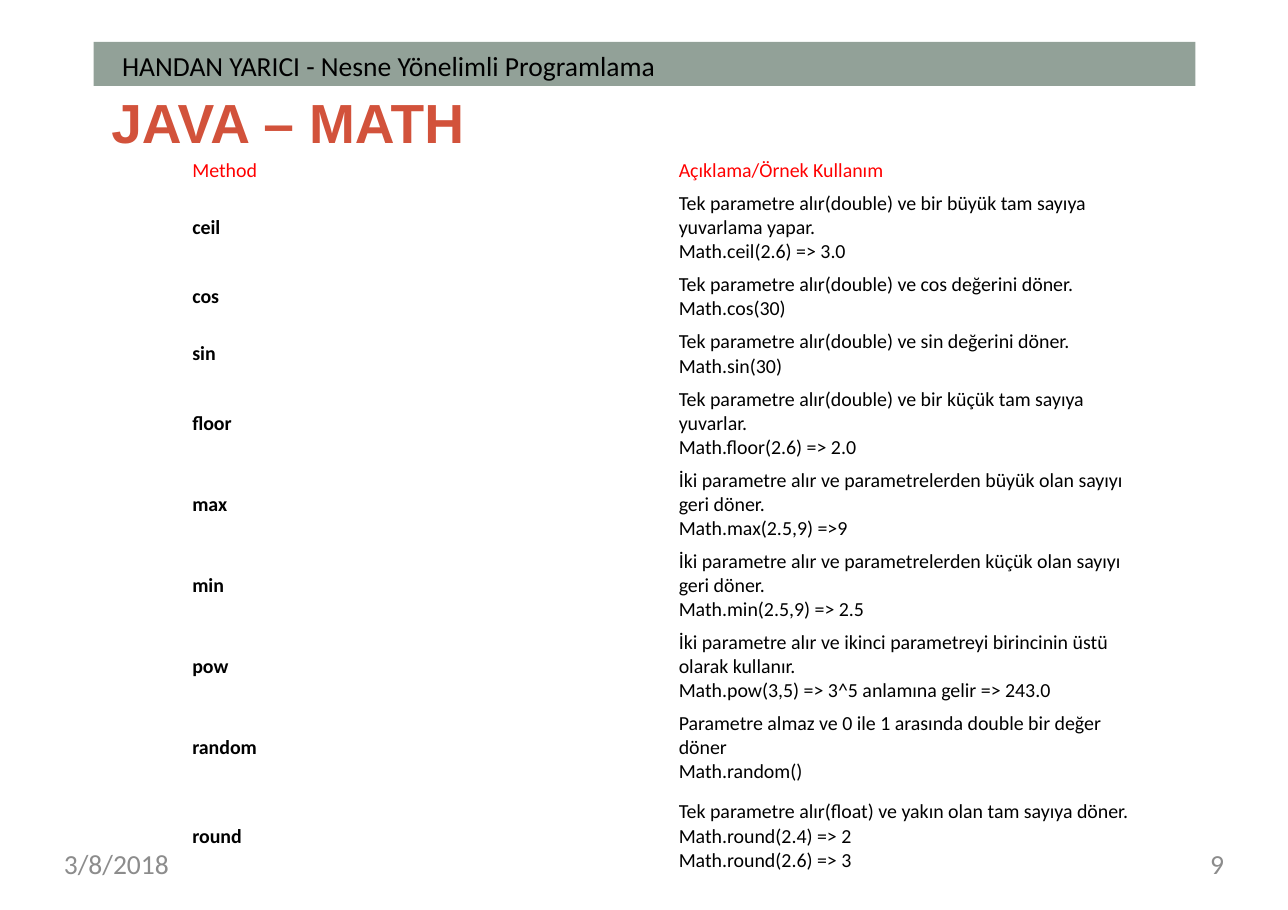
from pptx import Presentation
from pptx.dml.color import RGBColor
from pptx.enum.shapes import MSO_SHAPE
from pptx.enum.text import MSO_ANCHOR, PP_ALIGN
from pptx.util import Inches, Pt

RECT = MSO_SHAPE.RECTANGLE
MIDDLE = MSO_ANCHOR.MIDDLE
LEFT, RIGHT = PP_ALIGN.LEFT, PP_ALIGN.RIGHT

SAGE = RGBColor(0x92, 0xA1, 0x98)
BRICK = RGBColor(0xD2, 0x52, 0x3B)
GRAY = RGBColor(0x8C, 0x8C, 0x8C)
RED = RGBColor(0xFF, 0x00, 0x00)
BLACK = RGBColor(0x00, 0x00, 0x00)
WHITE = RGBColor(0xFF, 0xFF, 0xFF)

WIDTH, HEIGHT = Inches(11.69), Inches(8.26)
CELL_MARGINS = {"margin_left": Inches(0.06), "margin_right": Inches(0.06),
                "margin_top": Inches(0.04), "margin_bottom": Inches(0.04)}
NO_MARGINS = dict.fromkeys(CELL_MARGINS, 0)

HEADING_ROW, SHORT_ROW, TALL_ROW, LAST_ROW = 3.27, 6.3, 8.91, 10.6
HEADINGS = ("Method", "Açıklama/Örnek Kullanım", HEADING_ROW)
METHODS = [
    ("ceil", "Tek parametre alır(double) ve bir büyük tam sayıya yuvarlama yapar.\n"
             "Math.ceil(2.6) => 3.0", TALL_ROW),
    ("cos", "Tek parametre alır(double) ve cos değerini döner.\nMath.cos(30)", SHORT_ROW),
    ("sin", "Tek parametre alır(double) ve sin değerini döner.\nMath.sin(30)", SHORT_ROW),
    ("floor", "Tek parametre alır(double) ve bir küçük tam sayıya yuvarlar.\n"
              "Math.floor(2.6) => 2.0", TALL_ROW),
    ("max", "İki parametre alır ve parametrelerden büyük olan sayıyı geri döner.\n"
            "Math.max(2.5,9) =>9", TALL_ROW),
    ("min", "İki parametre alır ve parametrelerden küçük olan sayıyı geri döner.\n"
            "Math.min(2.5,9) => 2.5", TALL_ROW),
    ("pow", "İki parametre alır ve ikinci parametreyi birincinin üstü olarak kullanır.\n"
            "Math.pow(3,5) => 3^5 anlamına gelir =>\u00a0243.0", TALL_ROW),
    ("random", "Parametre almaz ve 0 ile 1 arasında double bir değer döner\n"
               "Math.random()", TALL_ROW),
    ("round", "Tek parametre alır(float) ve yakın olan tam sayıya döner.\n"
              "Math.round(2.4) => 2\nMath.round(2.6) => 3", LAST_ROW),
]


def place(x, y, w, h):
    """Turn percentages of the slide into lengths."""
    return [int(size * share / 100)
            for size, share in ((WIDTH, x), (HEIGHT, y), (WIDTH, w), (HEIGHT, h))]


def set_all(target, values):
    """Set each attribute in values on target."""
    for name, value in values.items():
        setattr(target, name, value)


def write(tf, text, size, color, font="Calibri", bold=False, align=LEFT):
    """Write one formatted paragraph, with line breaks, into a text frame."""
    p = tf.paragraphs[0]
    p.text = text
    p.alignment = align
    for r in p.runs:
        set_all(r.font, {"name": font, "size": Pt(size), "bold": bold})
        r.font.color.rgb = color


def add_label(s, box, text, size, color, margins=NO_MARGINS, **style):
    """Add a wrapped text box."""
    tf = s.shapes.add_textbox(*place(*box)).text_frame
    set_all(tf, {"word_wrap": True, **margins})
    write(tf, text, size, color, **style)


def add_header(s, box):
    """Add the coloured band with the course name on it."""
    x, y, w, h = box
    band = s.shapes.add_shape(RECT, *place(*box))
    band.shadow.inherit = False
    band.fill.solid()
    band.fill.fore_color.rgb = SAGE
    band.line.fill.background()
    add_label(s, (x + 1.37, y + 0.24, w * 0.55, h),
              "HANDAN YARICI - Nesne Yönelimli Programlama", 18, BLACK, margins={})


def add_footer(s, box):
    """Add the date and the page number at the two ends of the box."""
    x, y, w, h = box
    part = w / 4
    add_label(s, (x, y, part, h), "3/8/2018", 18, GRAY)
    add_label(s, (x + w - part, y, part, h), "9", 18, GRAY, align=RIGHT)


def add_method_table(s, box):
    """Add the two-column table of Math methods."""
    rows = [HEADINGS, *METHODS]
    table = s.shapes.add_table(len(rows), 2, *place(*box)).table
    set_all(table, {"first_row": False, "horz_banding": False})
    for column in table.columns:
        column.width = int(WIDTH * box[2] / 200)
    for i, (*texts, height) in enumerate(rows):
        table.rows[i].height = int(HEIGHT * height / 100)
        for j, text in enumerate(texts):
            cell = table.cell(i, j)
            set_all(cell, {"vertical_anchor": MIDDLE, **CELL_MARGINS})
            cell.fill.solid()
            cell.fill.fore_color.rgb = WHITE
            write(cell.text_frame, text, 13, BLACK if i else RED,
                  bold=i > 0 and j == 0)


def build_slide(prs):
    """Build the Math methods slide."""
    s = prs.slides.add_slide(prs.slide_layouts[6])
    add_header(s, (7.27, 4.6, 85.54, 4.84))
    add_label(s, (8.64, 9.69, 70.74, 7.38), "JAVA – MATH", 36, BRICK,
              font="Arial", bold=True)
    add_footer(s, (4.96, 93.1, 90.08, 4.96))
    add_method_table(s, (14.42, 16.97, 75.54, 79.42))


prs = Presentation()
set_all(prs, {"slide_width": WIDTH, "slide_height": HEIGHT})
build_slide(prs)
prs.save("out.pptx")
